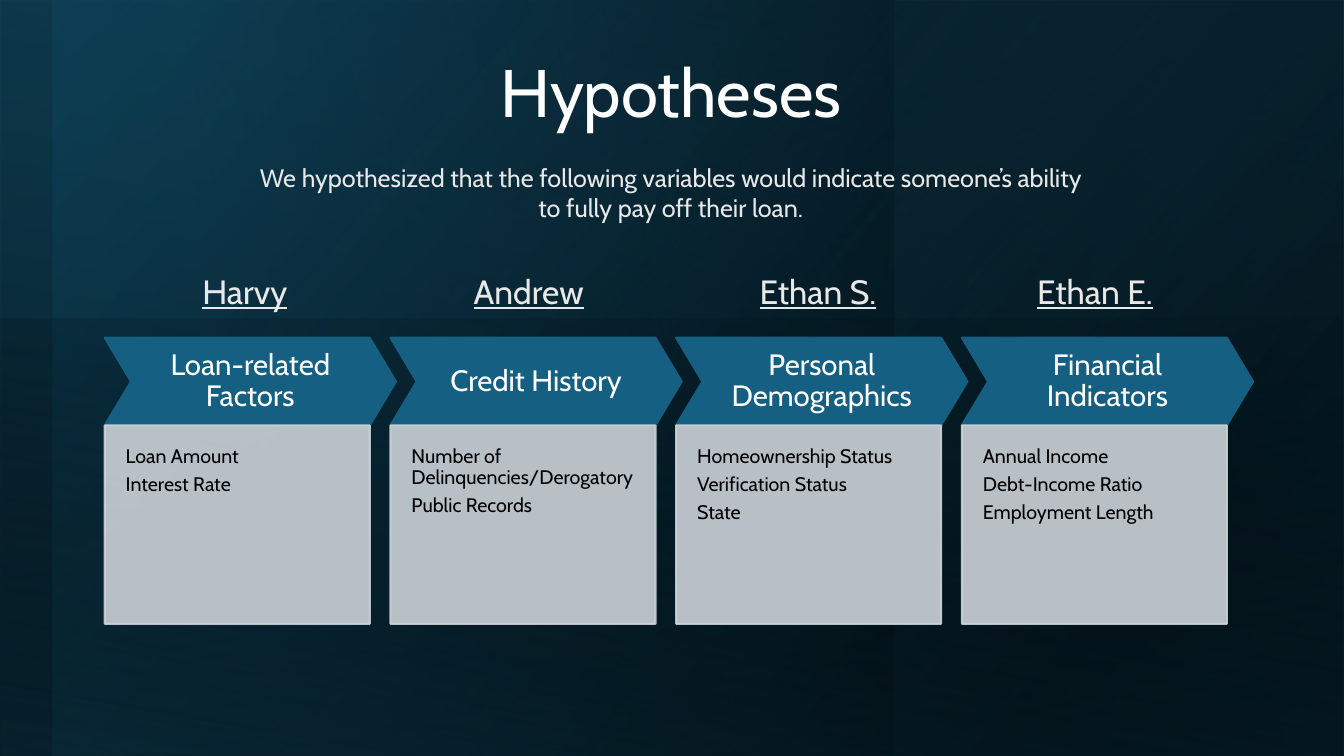
from dataclasses import dataclass

from lxml.etree import SubElement
from pptx import Presentation
from pptx.dml.color import RGBColor
from pptx.enum.shapes import MSO_SHAPE
from pptx.enum.text import MSO_ANCHOR, MSO_AUTO_SIZE, PP_ALIGN
from pptx.oxml.ns import qn
from pptx.util import Cm, Pt


@dataclass(frozen=True)
class Theme:
    font: str = "Cabin"
    black: str = "000000"
    white: str = "FFFFFF"
    pale: str = "E8E8E8"
    blue: str = "156082"
    deep_blue: str = "104862"
    night_blue: str = "0B3041"
    card: str = "CCD2D8"
    title_size: float = 48
    name_size: float = 24
    heading_size: float = 21
    subtitle_size: float = 18
    body_size: float = 14


THEME = Theme()
WIDTH, HEIGHT = 33.87, 19.05

# Column grid, in centimetres
FIRST_LEFT, COLUMN_STEP = 2.64, 7.2
CHEVRON_TOP, CHEVRON_WIDTH, CHEVRON_HEIGHT = 8.51, 7.34, 2.21
CARD_TOP, CARD_WIDTH, CARD_HEIGHT = 10.72, 6.68, 5.0
HEADING_INDENT, HEADING_WIDTH = 0.66, 6.02

# Panels: box, angle, gradient stops (position, colour, opacity in percent)
PANELS = [
    ((0, 0, WIDTH, HEIGHT), 140, [(34, THEME.black, 96), (100, THEME.blue, 100)]),
    ((-0.03, 0, 22.56, HEIGHT), 190, [(28, THEME.deep_blue, 59), (100, THEME.black, 70)]),
    ((-0.03, 0, 33.9, HEIGHT), 260, [(0, THEME.black, 72), (100, THEME.blue, 24)]),
    ((1.32, 0, 32.55, HEIGHT), 320, [(19, THEME.black, 62), (100, THEME.deep_blue, 44)]),
]
LOWER_PANEL = ((0, 8.03, 33.9, 11.02), 280,
               [(0, THEME.black, 0), (99, THEME.night_blue, 55)])

COLUMNS = [
    ("Loan-related Factors", ["Loan Amount", "Interest Rate"]),
    ("Credit History", ["Number of Delinquencies/Derogatory", "Public Records"]),
    ("Personal Demographics", ["Homeownership Status", "Verification Status", "State"]),
    ("Financial Indicators", ["Annual Income", "Debt-Income Ratio", "Employment Length"]),
]
# Name, left, width
NAMES = [("Harvy", 4.82, 2.7), ("Andrew", 11.61, 3.43),
         ("Ethan S.", 18.85, 3.53), ("Ethan E.", 25.83, 3.53)]


def lengths(box):
    return [Cm(value) for value in box]


def write_text(frame, lines, size, color, align=PP_ALIGN.LEFT, anchor=MSO_ANCHOR.TOP,
               insets=None, line_spacing=None, space_after=None, underline=None,
               auto_size=MSO_AUTO_SIZE.NONE, wrap=True):
    """Fill a text frame with one paragraph per line."""
    frame.word_wrap = wrap
    frame.auto_size = auto_size
    frame.vertical_anchor = anchor
    if insets:
        (frame.margin_left, frame.margin_top,
         frame.margin_right, frame.margin_bottom) = lengths(insets)
    for index, line in enumerate(lines):
        para = frame.add_paragraph() if index else frame.paragraphs[0]
        para.alignment = align
        if line_spacing:
            para.line_spacing = line_spacing
        if space_after:
            para.space_after = Pt(space_after)
        span = para.add_run()
        span.text = line
        span.font.name = THEME.font
        span.font.size = Pt(size)
        span.font.color.rgb = RGBColor.from_string(color)
        span.font.underline = underline


def add_text(shapes, box, lines, size, color, **options):
    text_box = shapes.add_textbox(*lengths(box))
    write_text(text_box.text_frame, lines, size, color, **options)


def set_opacity(color_element, percent):
    SubElement(color_element, qn("a:alpha")).set("val", str(percent * 1000))


def add_gradient_panel(page, box, angle, stops, flipped=False, rotation=0):
    panel = page.shapes.add_shape(MSO_SHAPE.RECTANGLE, *lengths(box))
    panel.shadow.inherit = False
    panel.line.fill.background()
    panel.rotation = rotation
    panel.fill.gradient()
    properties = panel.element.spPr
    if flipped:
        properties.get_or_add_xfrm().set("flipH", "1")
    gradient = properties.find(qn("a:gradFill"))
    gradient.set("rotWithShape", "1")
    gradient.find(qn("a:lin")).set("ang", str(angle * 60000))
    stop_list = gradient.find(qn("a:gsLst"))
    for old_stop in list(stop_list):
        stop_list.remove(old_stop)
    for position, color, opacity in stops:
        stop = SubElement(stop_list, qn("a:gs"))
        stop.set("pos", str(position * 1000))
        color_element = SubElement(stop, qn("a:srgbClr"))
        color_element.set("val", color)
        if opacity < 100:
            set_opacity(color_element, opacity)


def add_solid(shapes, kind, box, color, opacity=100):
    shape = shapes.add_shape(kind, *lengths(box))
    shape.shadow.inherit = False
    shape.fill.solid()
    shape.fill.fore_color.rgb = RGBColor.from_string(color)
    shape.line.color.rgb = RGBColor.from_string(color)
    shape.line.width = Pt(1.5)
    if opacity < 100:
        for color_element in list(shape.element.spPr.iter(qn("a:srgbClr"))):
            set_opacity(color_element, opacity)
    return shape


def add_column(shapes, left, heading, items):
    """Draw a chevron heading with its card of variables."""
    chevron = add_solid(shapes, MSO_SHAPE.CHEVRON,
                        (left, CHEVRON_TOP, CHEVRON_WIDTH, CHEVRON_HEIGHT), THEME.blue)
    chevron.adjustments[0] = 0.3
    add_text(shapes, (left + HEADING_INDENT, CHEVRON_TOP, HEADING_WIDTH, CHEVRON_HEIGHT),
             [heading], THEME.heading_size, THEME.white, align=PP_ALIGN.CENTER,
             anchor=MSO_ANCHOR.MIDDLE, insets=[0.28] * 4, line_spacing=0.9)
    card_box = (left, CARD_TOP, CARD_WIDTH, CARD_HEIGHT)
    add_solid(shapes, MSO_SHAPE.RECTANGLE, card_box, THEME.card, opacity=90)
    add_text(shapes, card_box, items, THEME.body_size, THEME.black,
             insets=(0.53, 0.53, 0.53, 1.07), line_spacing=0.9, space_after=4.9)


def place_title(page, text):
    title = page.shapes.title
    title.left, title.top, title.width, title.height = lengths((3.12, 1.02, 27.58, 2.44))
    write_text(title.text_frame, [text], THEME.title_size, THEME.white,
               align=PP_ALIGN.CENTER, anchor=MSO_ANCHOR.BOTTOM, line_spacing=0.9)
    # Bring the title in front of the background panels
    title.element.getparent().append(title.element)


def main():
    deck = Presentation()
    deck.slide_width, deck.slide_height = Cm(WIDTH), Cm(HEIGHT)
    page = deck.slides.add_slide(deck.slide_layouts[5])

    # Background and title
    for box, angle, stops in PANELS:
        add_gradient_panel(page, box, angle, stops, flipped=True)
    place_title(page, "Hypotheses")
    add_gradient_panel(page, *LOWER_PANEL, rotation=180)

    # Variable columns
    columns = page.shapes.add_group_shape()
    for index, (heading, items) in enumerate(COLUMNS):
        add_column(columns.shapes, FIRST_LEFT + index * COLUMN_STEP, heading, items)

    # Names and introduction
    for name, left, width in NAMES:
        add_text(page.shapes, (left, 6.7, width, 1.28), [name], THEME.name_size, THEME.pale,
                 align=PP_ALIGN.CENTER, underline=True, wrap=False,
                 auto_size=MSO_AUTO_SIZE.SHAPE_TO_FIT_TEXT)
    add_text(page.shapes, (5.97, 3.96, 21.87, 1.8),
             ["We hypothesized that the following variables would indicate "
              "someone’s ability to fully pay off their loan."],
             THEME.subtitle_size, THEME.pale, align=PP_ALIGN.CENTER,
             auto_size=MSO_AUTO_SIZE.SHAPE_TO_FIT_TEXT)

    deck.save("out.pptx")


if __name__ == "__main__":
    main()
